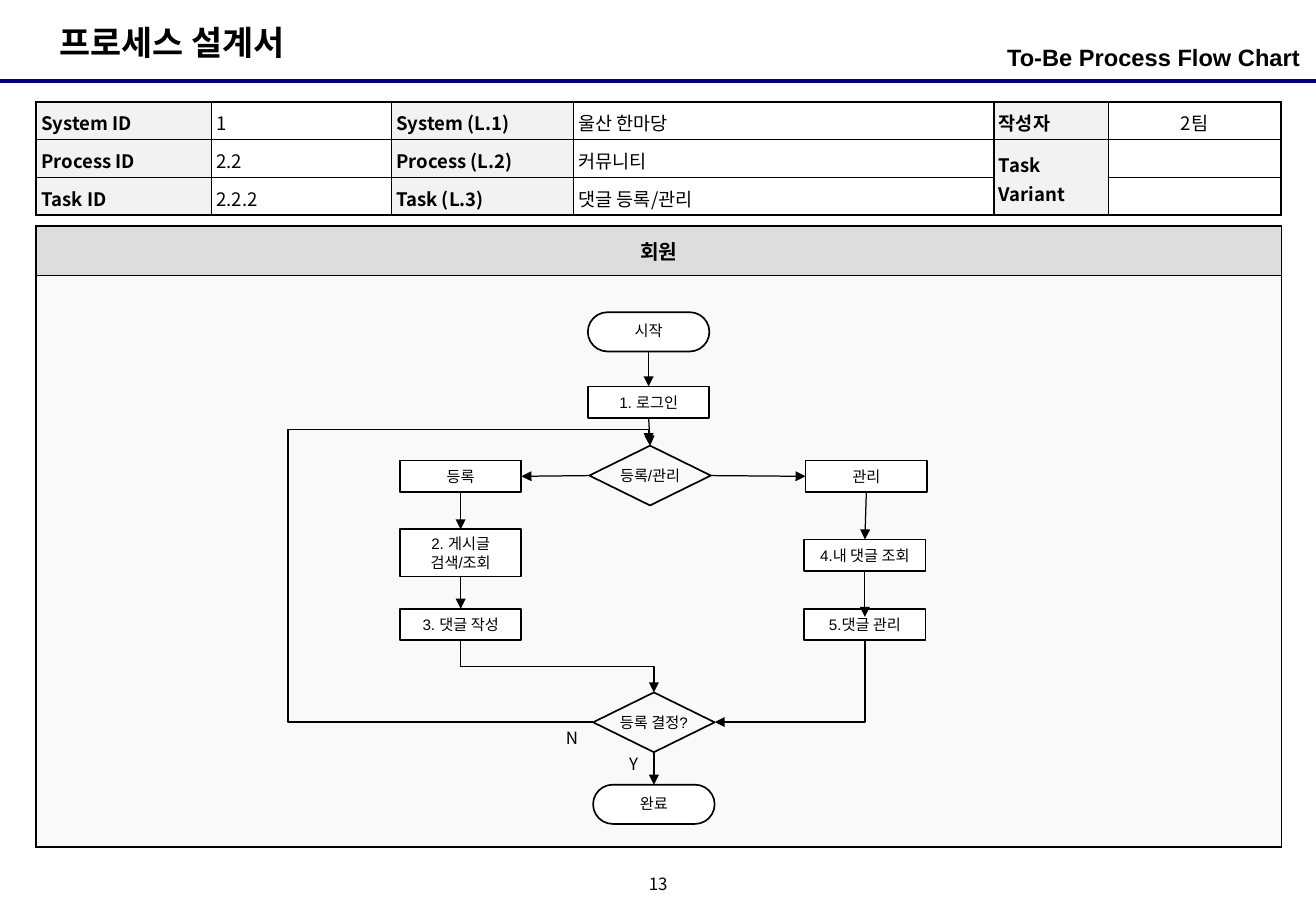
from lxml.etree import SubElement
from pptx import Presentation
from pptx.dml.color import RGBColor
from pptx.enum.shapes import MSO_CONNECTOR as LINK, MSO_SHAPE as SHAPE
from pptx.enum.text import MSO_ANCHOR as ANCHOR, MSO_AUTO_SIZE as SIZING, PP_ALIGN as ALIGN
from pptx.oxml.ns import qn
from pptx.util import Cm, Pt

COLORS = {"ink": "000000", "rule": "000080", "paper": "FFFFFF",
          "label": "F2F2F2", "lane": "DDDDDD", "canvas": "F9F9F9"}
KOREAN, LATIN = "Noto Sans CJK KR", "Arial"
TOP, LEFT, BOTTOM, RIGHT = range(4)  # connection sites


def color(name):
    return RGBColor.from_string(COLORS[name])


def write(frame, text, size, font=KOREAN, bold=False, align=ALIGN.LEFT,
          anchor=ANCHOR.TOP, wrap=True, spacing=None):
    frame.text = text
    frame.word_wrap = wrap
    frame.vertical_anchor = anchor
    para = frame.paragraphs[0]
    para.alignment = align
    para.line_spacing = spacing
    for span in para.runs:
        span.font.size, span.font.bold, span.font.name = Pt(size), bold, font
        span.font.color.rgb = color("ink")
        SubElement(span.font._element, qn("a:ea"), typeface=KOREAN)


def set_margins(frame, side, upright):
    frame.margin_left = frame.margin_right = Cm(side)
    frame.margin_top = frame.margin_bottom = Cm(upright)


def add_text(page, left, top, width, height, text, size, margins=(0.25, 0.13), **style):
    frame = page.shapes.add_textbox(Cm(left), Cm(top), Cm(width), Cm(height)).text_frame
    write(frame, text, size, **style)
    set_margins(frame, *margins)


# Tables
def set_borders(cell, **widths):
    properties = cell._tc.get_or_add_tcPr()
    for side in "LRTB":
        line = SubElement(properties, qn(f"a:ln{side}"), w=str(Pt(widths[side])))
        fill = SubElement(line, qn("a:solidFill"))
        SubElement(fill, qn("a:srgbClr"), val=COLORS["ink"])


def set_fill(cell, name):
    cell.fill.solid()
    cell.fill.fore_color.rgb = color(name)


def add_grid(page, top, widths, heights):
    grid = page.shapes.add_table(len(heights), len(widths), Cm(0.76), Cm(top),
                                 Cm(sum(widths)), Cm(sum(heights))).table
    grid.first_row = grid.horz_banding = False
    for column, width in zip(grid.columns, widths):
        column.width = Cm(width)
    for row, height in zip(grid.rows, heights):
        row.height = Cm(height)
    return grid


def add_process_table(page):
    rows = [["System ID", "1", "System (L.1)", "울산 한마당", "작성자", "2팀"],
            ["Process ID", "2.2", "Process (L.2)", "커뮤니티", "Task Variant", ""],
            ["Task ID", "2.2.2", "Task (L.3)", "댓글 등록/관리", "", ""]]
    grid = add_grid(page, 2.13, [3.66, 3.76, 3.81, 8.79, 2.39, 3.61], [0.79] * 3)
    grid.cell(1, 4).merge(grid.cell(2, 4))
    for r, texts in enumerate(rows):
        for c, text in enumerate(texts):
            cell = grid.cell(r, c)
            if cell.is_spanned:
                continue
            is_label = c % 2 == 0
            write(cell.text_frame, text, 11, bold=is_label, spacing=1.1,
                  align=ALIGN.CENTER if c == 5 else ALIGN.LEFT)
            cell.vertical_anchor = ANCHOR.MIDDLE if c >= 4 else ANCHOR.TOP
            set_margins(cell, 0.1, 0.1)
            if not text:
                SubElement(cell.text_frame.paragraphs[0]._p, qn("a:endParaRPr"), sz="1100")
            set_borders(cell, L=1.5 if c == 0 else 1, R=1.5 if c == 5 else 1,
                        T=1.5 if r == 0 else 1,
                        B=1.5 if r + cell.span_height == len(rows) else 1)
            set_fill(cell, "label" if is_label else "paper")


def add_lane_table(page):
    grid = add_grid(page, 4.72, [26.02], [1.04, 11.96])
    head, canvas = grid.cell(0, 0), grid.cell(1, 0)
    write(head.text_frame, "회원", 12, bold=True, align=ALIGN.CENTER)
    head.vertical_anchor = ANCHOR.MIDDLE
    set_borders(head, L=1.5, R=0.75, T=1.5, B=0.75)
    set_borders(canvas, L=1.5, R=0.75, T=0.75, B=1.5)
    set_fill(head, "lane")
    set_fill(canvas, "canvas")


# Flow chart
def add_step(page, kind, left, top, height, text):
    step = page.shapes.add_shape(kind, Cm(left), Cm(top), Cm(2.54), Cm(height))
    step.shadow.inherit = False
    step.line.color.rgb, step.line.width = color("ink"), Pt(1)
    is_decision = kind == SHAPE.FLOWCHART_DECISION
    if is_decision:
        step.fill.background()
    else:
        step.fill.solid()
        step.fill.fore_color.rgb = color("paper")
    write(step.text_frame, text, 9, font=LATIN, align=ALIGN.CENTER,
          anchor=ANCHOR.MIDDLE, wrap=not is_decision,
          spacing=0.9 if kind == SHAPE.FLOWCHART_TERMINATOR else None)
    set_margins(step.text_frame, *((0.1, 0.1) if is_decision else (0.05, 0)))
    return step


def add_line(page, start, end, kind=LINK.STRAIGHT, ink="ink", width=0.75, arrow=True):
    line = page.shapes.add_connector(kind, *map(Cm, start + end))
    line.line.color.rgb, line.line.width = color(ink), Pt(width)
    if arrow:
        SubElement(line.line._get_or_add_ln(), qn("a:tailEnd"), type="triangle")
    SubElement(line._element.spPr, qn("a:effectLst"))
    return line


def link(page, source, source_site, target, target_site):
    line = add_line(page, (0, 0), (1, 1))
    line.begin_connect(source, source_site)
    line.end_connect(target, target_site)


def bend(line, preset, *adjustments):
    geometry = line._element.spPr.find(qn("a:prstGeom"))
    geometry.set("prst", preset)
    guides = geometry.find(qn("a:avLst"))
    for number, value in enumerate(adjustments, 1):
        SubElement(guides, qn("a:gd"), name=f"adj{number}", fmla=f"val {round(value * 100000)}")


def add_downward_elbow(page, start, end, preset, *adjustments):
    """Elbow that leaves downwards: a turned frame around the same centre."""
    (x1, y1), (x2, y2) = start, end
    middle_x, middle_y = (x1 + x2) / 2, (y1 + y2) / 2
    half_run, half_drop = abs(x2 - x1) / 2, abs(y2 - y1) / 2
    line = add_line(page, (middle_x - half_drop, middle_y - half_run),
                    (middle_x + half_drop, middle_y + half_run), LINK.ELBOW)
    frame = line._element.spPr.find(qn("a:xfrm"))
    frame.set("rot", str((270 if x2 > x1 else 90) * 60000))
    if x2 > x1:
        frame.set("flipH", "1")
    bend(line, preset, *adjustments)


def add_flow(page):
    box, oval, diamond = SHAPE.RECTANGLE, SHAPE.FLOWCHART_TERMINATOR, SHAPE.FLOWCHART_DECISION
    start = add_step(page, oval, 12.29, 6.53, 0.82, "시작")
    login = add_step(page, box, 12.29, 8.08, 0.66, "1. 로그인")
    choice = add_step(page, diamond, 12.32, 9.32, 1.25, "등록/관리")
    register = add_step(page, box, 8.36, 9.63, 0.66, "등록")
    search = add_step(page, box, 8.36, 11.07, 0.99, "2. 게시글 검색/조회")
    comment = add_step(page, box, 8.36, 12.73, 0.66, "3. 댓글 작성")
    manage = add_step(page, box, 16.84, 9.63, 0.66, "관리")
    own = add_step(page, box, 16.81, 11.28, 0.66, "4.내 댓글 조회")
    add_step(page, box, 16.81, 12.73, 0.66, "5.댓글 관리")
    confirm = add_step(page, diamond, 12.4, 14.48, 1.25, "등록 결정?")
    done = add_step(page, oval, 12.4, 16.41, 0.82, "완료")

    for upper, lower in [(start, login), (login, choice), (register, search),
                         (search, comment), (manage, own), (confirm, done)]:
        link(page, upper, BOTTOM, lower, TOP)
    link(page, choice, LEFT, register, RIGHT)
    link(page, choice, RIGHT, manage, LEFT)
    add_line(page, (18.08, 11.94), (18.08, 12.9))

    add_downward_elbow(page, (9.63, 13.39), (13.67, 14.48), "bentConnector3", 0.5)
    add_downward_elbow(page, (18.08, 13.39), (14.94, 15.1), "bentConnector2")
    retry = add_line(page, (12.4, 15.1), (13.56, 9.27), LINK.ELBOW)
    bend(retry, "bentConnector4", -5.5, 1.05)

    add_text(page, 12.9, 15.62, 0.74, 0.69, "Y", 10, wrap=False)
    add_text(page, 11.58, 15.09, 0.79, 0.69, "N", 10, wrap=False)


def add_header(page):
    add_line(page, (0, 1.7), (27.51, 1.7), ink="rule", width=2.25, arrow=False)
    title = page.shapes.title
    title.left, title.top, title.width, title.height = map(Cm, (0.99, 0.33, 5.74, 1.12))
    write(title.text_frame, "프로세스 설계서", 20, bold=True, wrap=False)
    title.text_frame.auto_size = SIZING.NONE
    add_text(page, 18.77, 0.77, 8.41, 0.99, "To-Be Process Flow Chart", 14,
             margins=(0, 0.13), font=LATIN, bold=True, align=ALIGN.RIGHT)


def main():
    deck = Presentation()
    deck.slide_width, deck.slide_height = Cm(27.51), Cm(19.05)
    page = deck.slides.add_slide(deck.slide_layouts[5])
    add_header(page)
    add_process_table(page)
    add_lane_table(page)
    add_flow(page)
    # Page number
    add_text(page, 13.34, 18.21, 0.84, 0.64, "13", 10, margins=(0, 0),
             align=ALIGN.CENTER, anchor=ANCHOR.MIDDLE, wrap=False, spacing=0.8)
    deck.save("out.pptx")


if __name__ == "__main__":
    main()
